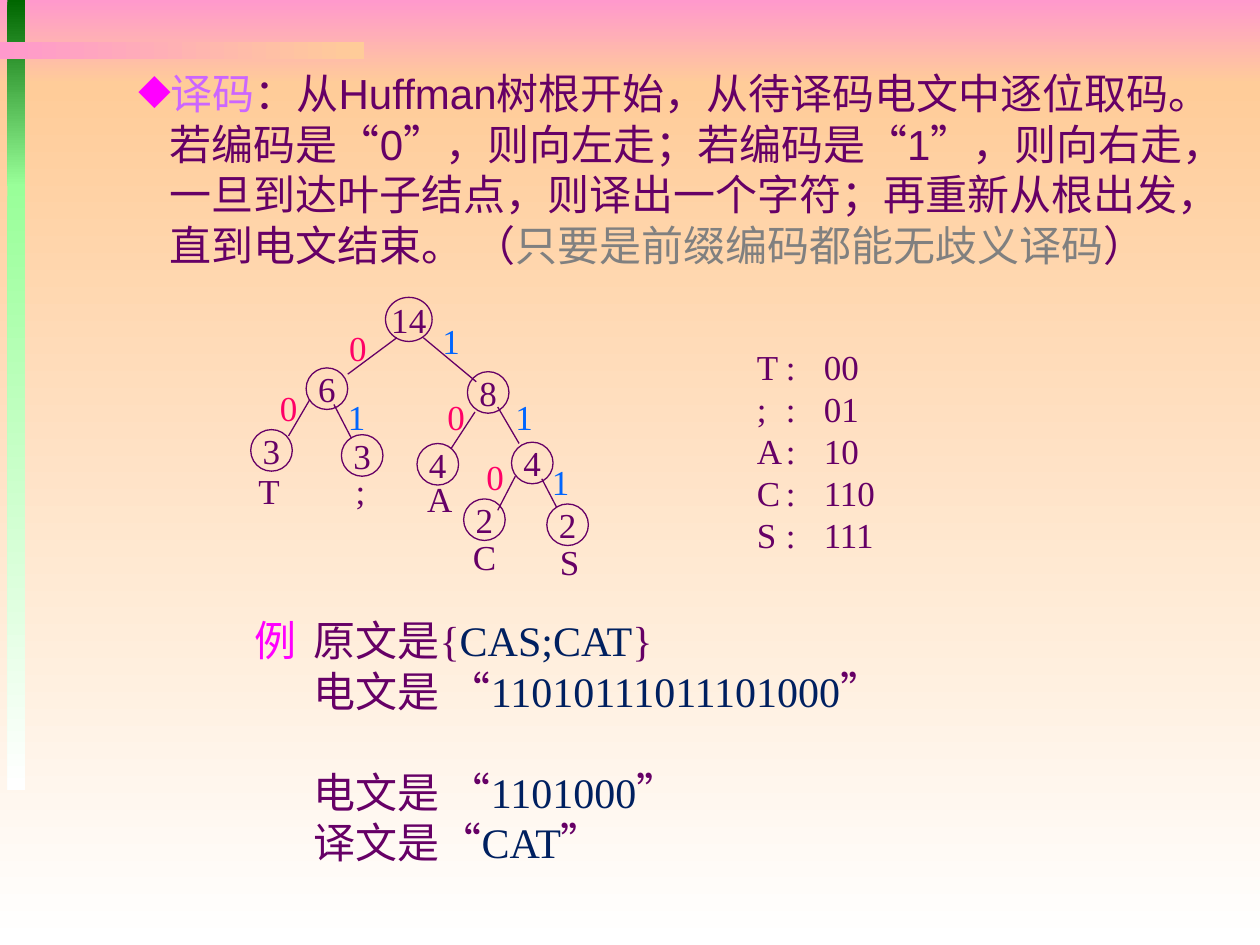
"""Build a slide on Huffman decoding with its code tree and an example."""
from lxml.etree import SubElement
from pptx import Presentation
from pptx.dml.color import RGBColor
from pptx.enum.lang import MSO_LANGUAGE_ID
from pptx.enum.shapes import MSO_CONNECTOR, MSO_SHAPE
from pptx.enum.text import MSO_ANCHOR, PP_ALIGN
from pptx.oxml.ns import qn
from pptx.util import Inches, Pt

THEME = {
    "ink": "660066", "term": "CC66FF", "aside": "808080", "accent": "FF00FF",
    "data": "002060", "bit0": "FF0066", "bit1": "0066FF",
    "pink": "FF99CC", "peach": "FFCC99", "white": "FFFFFF",
    "green": "006600", "mint": "99FF99",
    "sans": "Arial", "serif": "Times New Roman", "body": 24, "tree": 20,
}

BANDS = [
    (0, 0, 10, 0.67, "pink", "peach", 270),
    (0, 0.67, 10, 6.83, "peach", "white", 270),
    (0.06, 0, 0.14, 1.48, "green", "mint", 270),
    (0.06, 1.46, 0.14, 4.81, "mint", "white", 270),
    (0, 0.33, 2.89, 0.14, "pink", "peach", 0),
]

RULE = [[
    ("译码", "term"),
    ("：从Huffman树根开始，从待译码电文中逐位取码。若编码是“0”，则向左走；"
     "若编码是“1”，则向右走，一旦到达叶子结点，则译出一个字符；"
     "再重新从根出发，直到电文结束。 （", "ink"),
    ("只要是前缀编码都能无歧义译码", "aside"),
    ("）", "ink"),
]]

EXAMPLE = [
    [("例", "accent"), ("\t原文是{", "ink"), ("CAS;CAT", "data"), ("}", "ink")],
    [("电文是 “", "ink"), ("11010111011101000", "data"), ("”", "ink")],
    [("电文是 “", "ink"), ("1101000", "data"), ("”", "ink")],
    [("译文是“", "ink"), ("CAT", "data"), ("”", "ink")],
]

NODES = [
    ("14", 3.06, 2.36, 0.37, 0.35), ("6", 2.43, 2.92, 0.33, 0.33),
    ("8", 3.71, 2.95, 0.33, 0.33), ("3", 1.99, 3.41, 0.33, 0.33),
    ("3", 2.71, 3.45, 0.33, 0.33), ("4", 3.31, 3.52, 0.33, 0.33),
    ("4", 4.06, 3.51, 0.33, 0.33), ("2", 3.68, 3.96, 0.33, 0.33),
    ("2", 4.34, 4, 0.33, 0.33),
]

EDGES = [
    ((3.15, 2.68), (2.76, 2.97), "0", (2.67, 2.54)),
    ((3.36, 2.68), (3.78, 3.03), "1", (3.41, 2.49)),
    ((2.46, 3.17), (2.29, 3.46), "0", (2.12, 3.02)),
    ((2.65, 3.21), (2.79, 3.48), "1", (2.66, 3.09)),
    ((3.77, 3.27), (3.58, 3.56), "0", (3.45, 3.09)),
    ((3.95, 3.23), (4.12, 3.52), "1", (3.99, 3.09)),
    ((4.09, 3.78), (3.95, 4.05), "0", (3.76, 3.57)),
    ((4.3, 3.8), (4.42, 4.03), "1", (4.28, 3.61)),
]

LEAVES = [("T", 1.95, 3.68, 0.37), (";", 2.72, 3.68, 0.28), ("A", 3.29, 3.74, 0.4),
          ("C", 3.65, 4.2, 0.39), ("S", 4.34, 4.24, 0.36)]

CODES = [("T", "00"), (";", "01"), ("A", "10"), ("C", "110"), ("S", "111")]


def color(name):
    return RGBColor.from_string(THEME[name])


def write(sp, paragraphs, font="serif", size="tree", align=PP_ALIGN.LEFT,
          anchor=MSO_ANCHOR.MIDDLE, wrap=True):
    tf = sp.text_frame
    tf.word_wrap = wrap
    tf.vertical_anchor = anchor
    for i, runs in enumerate(paragraphs):
        p = tf.add_paragraph() if i else tf.paragraphs[0]
        p.alignment = align
        for text, name in runs:
            r = p.add_run()
            r.text = text
            r.font.name = THEME[font]
            r.font.size = Pt(THEME[size])
            r.font.color.rgb = color(name)
            r.font.language_id = MSO_LANGUAGE_ID.SIMPLIFIED_CHINESE
    return tf.paragraphs


def textbox(s, x, y, w, h, paragraphs, **fmt):
    sp = s.shapes.add_textbox(Inches(x), Inches(y), Inches(w), Inches(h))
    return write(sp, paragraphs, **fmt)


def label(s, text, x, y, w, name="ink"):
    textbox(s, x, y, w, 0.43, [[(text, name)]], align=PP_ALIGN.CENTER, wrap=False)


def shape(s, kind, x, y, w, h):
    sp = s.shapes.add_shape(kind, Inches(x), Inches(y), Inches(w), Inches(h))
    sp.shadow.inherit = False
    return sp


def indent(p, left, first):
    pPr = p._p.get_or_add_pPr()
    pPr.set("marL", str(Inches(left)))
    pPr.set("indent", str(Inches(first)))
    return pPr


def set_tabs(pPr, *stops):
    tabs = SubElement(pPr, qn("a:tabLst"))
    for stop in stops:
        SubElement(tabs, qn("a:tab"), pos=str(Inches(stop)), algn="l")


def band(s, x, y, w, h, start, end, angle):
    sp = shape(s, MSO_SHAPE.RECTANGLE, x, y, w, h)
    sp.line.fill.background()
    sp.fill.gradient()
    sp.fill.gradient_angle = angle
    for stop, name, pos in zip(sp.fill.gradient_stops, (start, end), (0, 1)):
        stop.color.rgb = color(name)
        stop.position = pos


def node(s, text, x, y, w, h):
    sp = shape(s, MSO_SHAPE.OVAL, x, y, w, h)
    sp.fill.background()
    sp.line.color.rgb = color("ink")
    sp.line.width = Pt(0.75)
    write(sp, [[(text, "ink")]], align=PP_ALIGN.CENTER, wrap=False)


def edge(s, start, end, bit, at):
    points = [Inches(v) for v in (*start, *end)]
    line = s.shapes.add_connector(MSO_CONNECTOR.STRAIGHT, *points)
    line.line.color.rgb = color("ink")
    line.line.width = Pt(0.75)
    SubElement(line._element.spPr, qn("a:effectLst"))
    label(s, bit, *at, 0.34, "bit" + bit)


def rule(s):
    p = textbox(s, 0, 0.49, 9.52, 1.69, RULE, font="sans", size="body",
                anchor=MSO_ANCHOR.TOP)[0]
    p.space_before = Pt(4.8)
    pPr = indent(p, 1.25, -0.25)
    clr = SubElement(pPr, qn("a:buClr"))
    SubElement(clr, qn("a:srgbClr"), val=THEME["accent"])
    SubElement(pPr, qn("a:buChar"), char="◆")


def example(s):
    ps = textbox(s, 1.92, 4.82, 7.59, 2.12, EXAMPLE, size="body")
    ps[2].space_before = Pt(29)
    for i, p in enumerate(ps):
        pPr = indent(p, 0.47, 0 if i else -0.47)
        if not i:
            set_tabs(pPr, 0.47)


def code_table(s):
    rows = [[("\t".join((char, ":", code)), "ink")] for char, code in CODES]
    for p in textbox(s, 5.91, 2.69, 1.16, 1.77, rows):
        p.line_spacing = Pt(24)
        set_tabs(p._p.get_or_add_pPr(), 0.23, 0.53)


def main():
    prs = Presentation()
    prs.slide_width, prs.slide_height = Inches(10), Inches(7.5)
    s = prs.slides.add_slide(prs.slide_layouts[6])
    for item in BANDS:
        band(s, *item)
    rule(s)
    example(s)
    for item in NODES:
        node(s, *item)
    for item in EDGES:
        edge(s, *item)
    for item in LEAVES:
        label(s, *item)
    code_table(s)
    prs.save("out.pptx")


if __name__ == "__main__":
    main()
